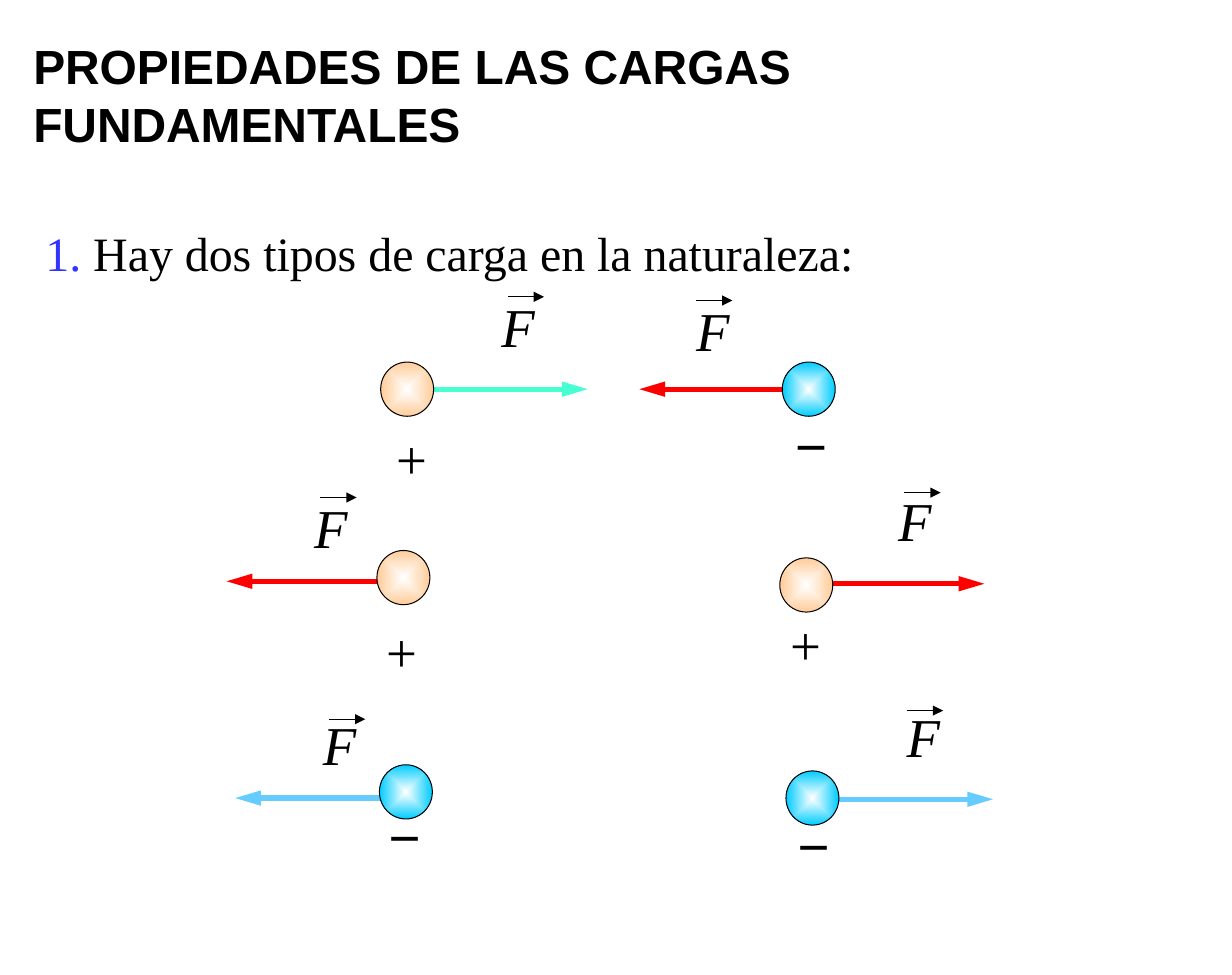
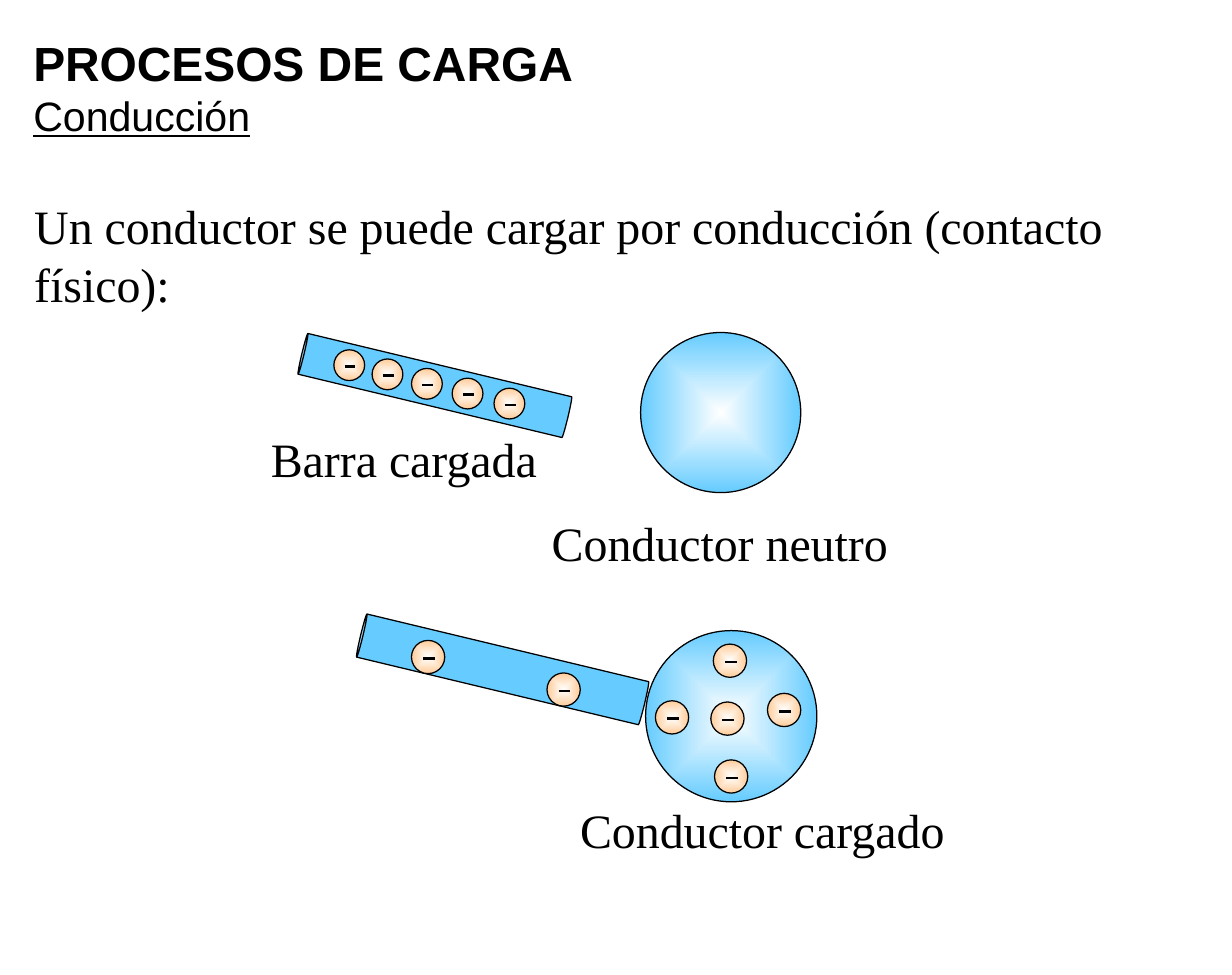
from math import radians, tan

from lxml import etree
from pptx import Presentation
from pptx.dml.color import RGBColor
from pptx.enum.shapes import MSO_CONNECTOR, MSO_SHAPE
from pptx.enum.text import MSO_ANCHOR, MSO_AUTO_SIZE, PP_ALIGN
from pptx.oxml.ns import qn
from pptx.util import Inches, Pt

SLIDE_WIDTH, SLIDE_HEIGHT = Inches(10), Pt(570)
# All other lengths are counted in square grid cells, 100 to the slide's width.
CELL = SLIDE_WIDTH / 100

BLACK = RGBColor(0x00, 0x00, 0x00)
WHITE = RGBColor(0xFF, 0xFF, 0xFF)
BLUE = RGBColor(0x33, 0x33, 0xFF)
RED = RGBColor(0xFF, 0x00, 0x00)
MINT = RGBColor(0x47, 0xFF, 0xD1)
SKY = RGBColor(0x66, 0xCC, 0xFF)
CYAN = RGBColor(0x00, 0xCC, 0xFF)
PEACH = RGBColor(0xFF, 0xCC, 0x99)

SANS, SERIF = "Arial", "Times New Roman"
HEADING = dict(name=SANS, size=Pt(28), bold=True)
SUBHEADING = dict(name=SANS, size=Pt(24), bold=False, underline=True)
BODY = dict(name=SERIF, size=Pt(28))
FORCE = dict(name=SERIF, size=Pt(32), italic=True)
SIGNS = {"+": dict(name=SERIF, size=Pt(32)), "−": dict(name=SANS, size=Pt(32))}
BALL_COLORS = {"+": PEACH, "−": CYAN}

BALL_W, BALL_H = 4.3, 4.4
ARROW_LENGTH, VECTOR_LENGTH = 13.9, 2.95
SIGN_WIDTH = 4.7
ROD_TILT = 13.5

# sign, ball corner, arrow tip, direction, arrow colour, F corner,
# start of the vector mark over F, top centre of the sign
CHARGES = [
    ("+", (30.9, 29.4), (47.7, 31.6), 1, MINT, (40.7, 23.8), (41.2, 24.1), (33.45, 34.5)),
    ("−", (63.5, 29.4), (51.9, 31.6), -1, RED, (56.5, 24.1), (56.5, 24.4), (65.85, 33.4)),
    ("+", (30.6, 44.7), (18.4, 47.2), -1, RED, (25.5, 40.1), (26, 40.4), (32.65, 50.2)),
    ("+", (63.3, 45.3), (79.9, 47.4), 1, RED, (72.9, 39.5), (73.4, 40), (65.45, 49.6)),
    ("−", (30.8, 62.1), (19.1, 64.8), -1, SKY, (26.2, 57.7), (26.7, 58.4), (32.85, 65.2)),
    ("−", (63.8, 62.6), (80.6, 64.9), 1, SKY, (73.6, 57.1), (73.6, 57.7), (66.05, 65.9)),
]
CONDUCTOR_ELECTRONS = [(57.7, 57), (53.2, 56.9), (62.3, 56.3), (58, 61.7), (57.9, 52.3)]


def cells(*counts):
    return [round(n * CELL) for n in counts]


def write(tf, paragraphs, align=PP_ALIGN.LEFT, margins=(1, 0.5)):
    """Fill a text frame; each paragraph is a list of (text, format, colour)."""
    side, top = cells(*margins)
    frame = dict(word_wrap=True, auto_size=MSO_AUTO_SIZE.NONE,
                 vertical_anchor=MSO_ANCHOR.TOP, margin_left=side,
                 margin_right=side, margin_top=top, margin_bottom=top)
    for key, value in frame.items():
        setattr(tf, key, value)
    for i, runs in enumerate(paragraphs):
        p = tf.paragraphs[0] if i == 0 else tf.add_paragraph()
        p.alignment = align
        for text, fmt, color in runs:
            r = p.add_run()
            r.text = text
            r.font.color.rgb = color
            for key, value in fmt.items():
                setattr(r.font, key, value)


def add_text(s, box, runs, **options):
    write(s.shapes.add_textbox(*cells(*box)).text_frame, [runs], **options)


def add_titled_slide(prs, box, lines):
    s = prs.slides.add_slide(prs.slide_layouts[5])
    title = s.shapes.title
    title.left, title.top, title.width, title.height = cells(*box)
    write(title.text_frame, [[(text, fmt, BLACK)] for text, fmt in lines])
    return s


def add_line(s, start, end, color, width, head=None):
    """Draw a line; head is the length of its arrowhead: med, lg or None."""
    line = s.shapes.add_connector(MSO_CONNECTOR.STRAIGHT, *cells(*start, *end))
    line.line.color.rgb = color
    line.line.width = Pt(width)
    sp_pr = line.element.spPr
    if head:
        etree.SubElement(sp_pr.find(qn("a:ln")), qn("a:tailEnd"),
                         type="triangle", w="med", len=head)
    etree.SubElement(sp_pr, qn("a:effectLst"))


def add_outlined(s, kind, box, width):
    sp = s.shapes.add_shape(kind, *cells(*box))
    sp.shadow.inherit = False
    sp.line.color.rgb = BLACK
    sp.line.width = Pt(width)
    return sp


def add_ball(s, box, color, width=0.75):
    """Draw a circle that fades from a white centre to the given colour."""
    sp = add_outlined(s, MSO_SHAPE.OVAL, box, width)
    sp.fill.gradient()
    for stop, position, rgb in zip(sp.fill.gradient_stops, (0, 1), (WHITE, color)):
        stop.position = position
        stop.color.rgb = rgb
    grad = sp.element.spPr.find(qn("a:gradFill"))
    grad.remove(grad.find(qn("a:lin")))
    shade = etree.SubElement(grad, qn("a:path"), path="rect")
    etree.SubElement(shade, qn("a:fillToRect"),
                     {side: "50000" for side in "ltrb"})


def add_force(s, corner, vector):
    add_text(s, (*corner, 3.5, 5.3), [("F", FORCE, BLACK)], margins=(0, 0))
    x, y = vector
    add_line(s, vector, (x + VECTOR_LENGTH, y), BLACK, 0.5, head="med")


def add_charge(s, sign, ball, tip, direction, color, force, vector, sign_at):
    x, y = tip
    add_line(s, (x - direction * ARROW_LENGTH, y), tip, color, 3, head="lg")
    add_ball(s, (*ball, BALL_W, BALL_H), BALL_COLORS[sign], 0.6)
    center, top = sign_at
    add_text(s, (center - SIGN_WIDTH / 2, top, SIGN_WIDTH, 5.3),
             [(sign, SIGNS[sign], BLACK)], align=PP_ALIGN.CENTER, margins=(0, 0))
    add_force(s, force, vector)


def add_electron(s, x, y, size):
    add_ball(s, (x, y, size, size), PEACH)
    dash_y = y + 0.54 * size
    add_line(s, (x + 0.35 * size, dash_y), (x + 0.7 * size, dash_y), BLACK, 1.5)


def add_rod(s, box):
    rod = add_outlined(s, MSO_SHAPE.CAN, box, 0.75)
    rod.rotation = 270 + ROD_TILT
    rod.adjustments[0] = 0.052
    rod.fill.solid()
    rod.fill.fore_color.rgb = SKY


def add_rod_electrons(s, columns, top, size):
    """Place electrons along the tilt of a rod, from the first one down."""
    for x in columns:
        add_electron(s, x, top + (x - columns[0]) * tan(radians(ROD_TILT)), size)


def add_properties_slide(prs):
    s = add_titled_slide(prs, (1.7, 2.5, 85, 10.4), [
        ("PROPIEDADES DE LAS CARGAS", HEADING), ("FUNDAMENTALES", HEADING)])
    add_text(s, (2.7, 17.7, 93.5, 5.7), [
        ("1.", BODY, BLUE),
        (" Hay dos tipos de carga en la naturaleza:", BODY, BLACK)])
    for charge in CHARGES:
        add_charge(s, *charge)


def add_conduction_slide(prs):
    s = add_titled_slide(prs, (1.7, 2.2, 85.9, 9.7), [
        ("PROCESOS DE CARGA", HEADING), ("Conducción", SUBHEADING)])
    for box, text in [
        ((1.8, 15.5, 93.3, 10.4),
         "Un conductor se puede cargar por conducción (contacto físico):"),
        ((21, 34.4, 24.5, 5.7), "Barra cargada"),
        ((43.8, 41.2, 30.5, 5.7), "Conductor neutro"),
        ((46.1, 64.5, 32.5, 5.7), "Conductor cargado"),
    ]:
        add_text(s, box, [(text, BODY, BLACK)])

    add_ball(s, (52, 27, 13, 13), SKY)
    add_rod(s, (33.6, 20.2, 3.4, 22.2))
    add_rod_electrons(s, (27.1, 30.2, 33.4, 36.7, 40.1), 28.4, 2.5)

    add_rod(s, (39, 42.5, 3.6, 23.7))
    add_ball(s, (52.4, 51.2, 13.9, 13.9), SKY)
    for x, y in CONDUCTOR_ELECTRONS:
        add_electron(s, x, y, 2.7)
    add_rod_electrons(s, (33.4, 44.4), 52, 2.7)


def main():
    prs = Presentation()
    prs.slide_width = SLIDE_WIDTH
    prs.slide_height = SLIDE_HEIGHT
    prs.element.sldSz.attrib.pop("type", None)
    add_properties_slide(prs)
    add_conduction_slide(prs)
    prs.save("out.pptx")


if __name__ == "__main__":
    main()
